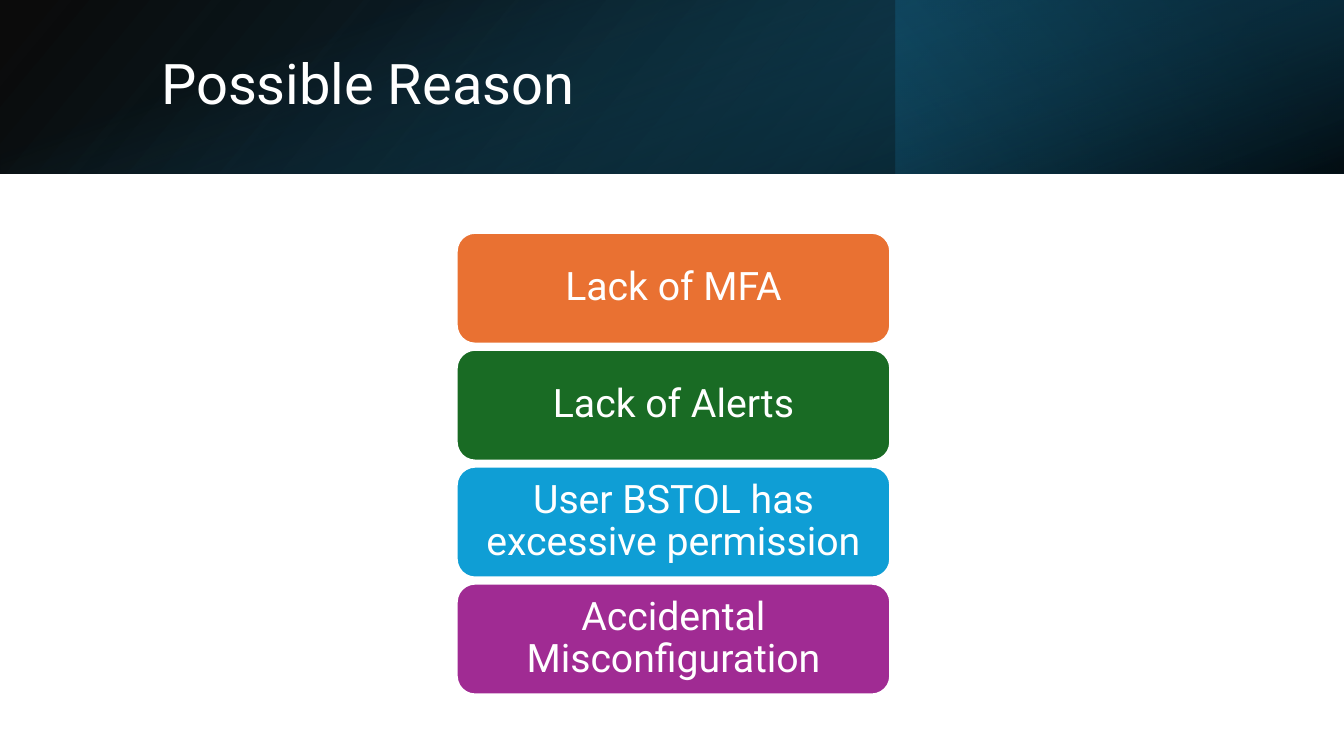
from dataclasses import dataclass

from lxml import etree
from pptx import Presentation
from pptx.dml.color import RGBColor
from pptx.enum.shapes import MSO_SHAPE
from pptx.enum.text import MSO_ANCHOR, PP_ALIGN
from pptx.oxml.ns import qn
from pptx.util import Inches, Pt

RECTANGLE = MSO_SHAPE.RECTANGLE
ROUNDED = MSO_SHAPE.ROUNDED_RECTANGLE
MIDDLE = MSO_ANCHOR.MIDDLE
LEFT = PP_ALIGN.LEFT
CENTER = PP_ALIGN.CENTER


@dataclass(frozen=True)
class Theme:
    font: str = "Roboto"
    title_size: int = 40
    reason_size: int = 28
    white: str = "FFFFFF"
    black: str = "000000"
    teal: str = "156082"
    deep_teal: str = "104862"
    dark_teal: str = "0B3041"
    orange: str = "E97132"
    green: str = "196B24"
    blue: str = "0F9ED5"
    purple: str = "A02B93"


THEME = Theme()
SLIDE_WIDTH, SLIDE_HEIGHT = 13.33, 7.5
REASONS = [
    ("Lack of MFA", THEME.orange),
    ("Lack of Alerts", THEME.green),
    ("User BSTOL has excessive permission", THEME.blue),
    ("Accidental Misconfiguration", THEME.purple),
]


def write(frame, text, size, alignment):
    frame.word_wrap = True
    frame.vertical_anchor = MIDDLE
    paragraph = frame.paragraphs[0]
    paragraph.text = text
    paragraph.alignment = alignment
    paragraph.line_spacing = 0.9
    paragraph.font.name = THEME.font
    paragraph.font.size = Pt(size)
    paragraph.font.color.rgb = RGBColor.from_string(THEME.white)


def add_gradient_layer(slide, box, stops, angle, rotation=0, flipped=False):
    layer = slide.shapes.add_shape(RECTANGLE, *map(Inches, box))
    layer.shadow.inherit = False
    layer.line.fill.background()
    layer.rotation = rotation
    if flipped:
        layer._element.spPr.find(qn("a:xfrm")).set("flipH", "1")
    layer.fill.gradient()
    layer.fill.gradient_angle = 360 - angle
    for stop, (position, color, opacity) in zip(layer.fill.gradient_stops, stops):
        stop.position = position / 100
        stop.color.rgb = RGBColor.from_string(color)
    tints = layer._element.spPr.iter(qn("a:srgbClr"))
    for tint, (position, color, opacity) in zip(tints, stops):
        etree.SubElement(tint, qn("a:alpha")).set("val", str(opacity * 1000))


def add_header(slide, left, top, width, height):
    base = [(0, THEME.black, 96), (100, THEME.deep_teal, 100)]
    add_gradient_layer(slide, (left, top, width, height), base, 140, flipped=True)

    glow = [(19, THEME.dark_teal, 68), (100, THEME.teal, 79)]
    third = width / 3
    add_gradient_layer(slide, (left + 2 * third, top, third, height), glow, 320, rotation=180)

    shade = [(23, THEME.teal, 0), (99, THEME.black, 74)]
    offset = (width - height) / 2
    upright = (left + offset, top - offset, height, width)
    add_gradient_layer(slide, upright, shade, 340, rotation=90)

    title = slide.shapes.add_textbox(
        Inches(left + 1.5), Inches(top + 0.38), Inches(10.98), Inches(0.96))
    write(title.text_frame, "Possible Reason", THEME.title_size, LEFT)


def add_reasons(slide, left, top, width, height, gap=0.06):
    card_height = (height - gap * (len(REASONS) - 1)) / len(REASONS)
    for index, (reason, color) in enumerate(REASONS):
        card_top = top + index * (card_height + gap)
        card = slide.shapes.add_shape(
            ROUNDED, Inches(left), Inches(card_top), Inches(width), Inches(card_height))
        card.shadow.inherit = False
        card.fill.solid()
        card.fill.fore_color.rgb = RGBColor.from_string(color)
        card.line.color.rgb = RGBColor.from_string(THEME.white)
        card.line.width = Pt(1.5)
        frame = card.text_frame
        frame.margin_left = frame.margin_right = Inches(0.12)
        frame.margin_top = frame.margin_bottom = Inches(0.06)
        write(frame, reason, THEME.reason_size, CENTER)


def main():
    presentation = Presentation()
    presentation.slide_width = Inches(SLIDE_WIDTH)
    presentation.slide_height = Inches(SLIDE_HEIGHT)
    slide = presentation.slides.add_slide(presentation.slide_layouts[6])
    add_header(slide, 0, 0, SLIDE_WIDTH, 1.72)
    add_reasons(slide, 4.53, 2.31, 4.3, 4.58)
    presentation.save("out.pptx")


if __name__ == "__main__":
    main()
